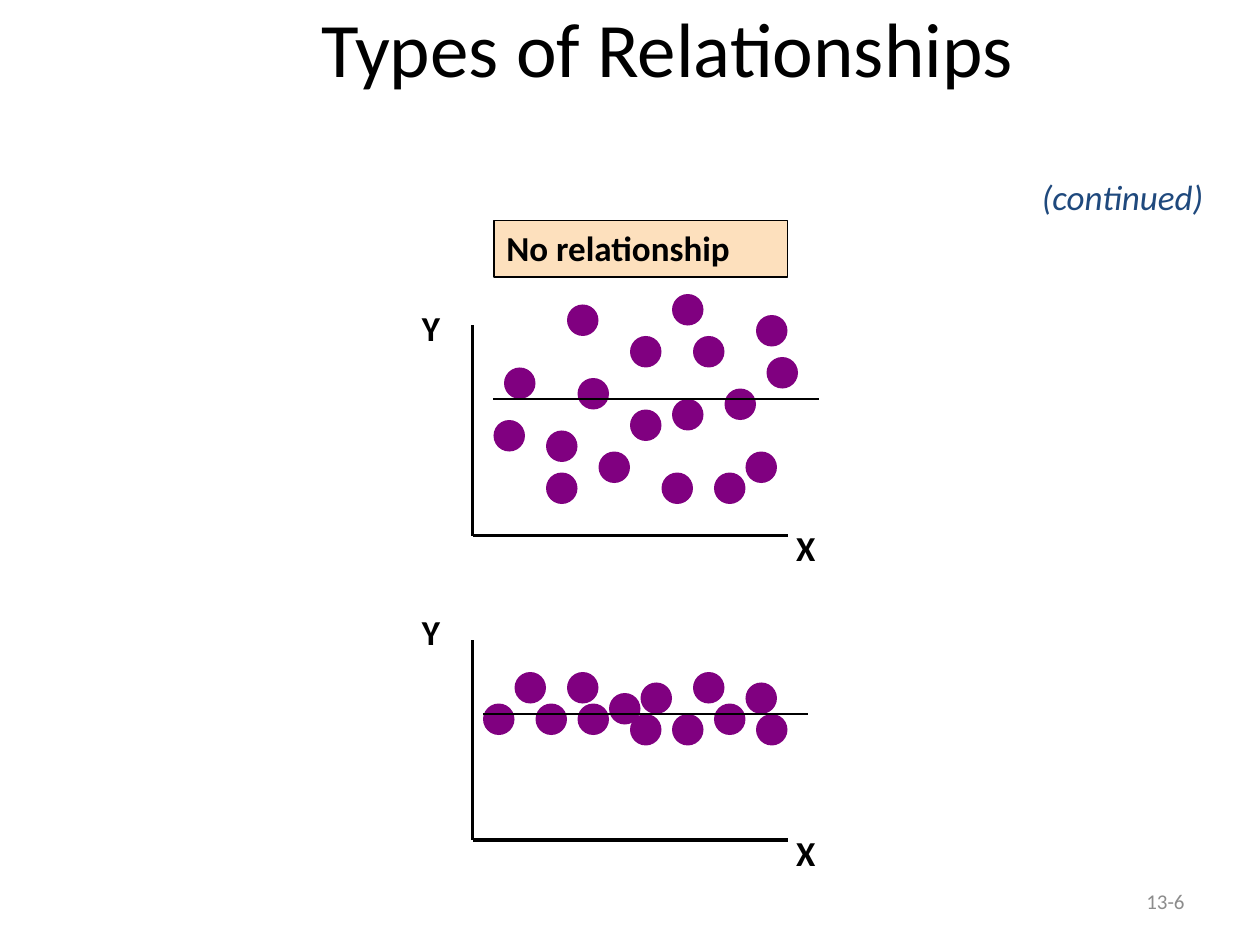
from dataclasses import dataclass

from lxml.etree import SubElement
from pptx import Presentation
from pptx.dml.color import RGBColor
from pptx.enum.shapes import MSO_CONNECTOR, MSO_SHAPE
from pptx.enum.text import MSO_ANCHOR, MSO_AUTO_SIZE, PP_ALIGN
from pptx.oxml.ns import qn
from pptx.slide import Slide
from pptx.text.text import TextFrame
from pptx.util import Inches, Pt

CELL = 1 / 12  # inches; all plot lengths are counted in these cells
ORIGIN_COLUMN = 45
X_AXIS_LENGTH = 30
DOT_SIZE = 3
BLACK, PURPLE, PEACH = "000000", "800080", "FDE0BD"
NAVY, GREY = "1F497D", "8C8C8C"


@dataclass(frozen=True)
class Scatter:
    """Columns count right from the Y axis, heights up from the X axis."""
    base_row: int
    y_axis_length: int
    trend_start: int
    trend_end: int
    trend_height: int
    dots: tuple[tuple[int, int], ...]  # lower left corner of each dot


SCATTERS = (
    Scatter(51, 20, 2, 33, 13, (
        (19, 20), (2, 8), (26, 5), (28, 14), (7, 3), (9, 19),
        (19, 10), (21, 16), (27, 18), (15, 16), (7, 7), (10, 12),
        (23, 3), (15, 9), (12, 5), (3, 13), (18, 3), (24, 11))),
    Scatter(80, 19, 1, 32, 12, (
        (27, 9), (6, 10), (26, 12), (9, 13), (21, 13), (23, 10), (13, 11),
        (1, 10), (4, 13), (10, 10), (19, 9), (16, 12), (15, 9))),
)


def color(value: str) -> RGBColor:
    return RGBColor.from_string(value)


def write(frame: TextFrame, text: str, size: float, ink: str = BLACK,
          bold: bool = False, italic: bool = False,
          align: PP_ALIGN = PP_ALIGN.LEFT) -> None:
    paragraph = frame.paragraphs[0]
    paragraph.alignment = align
    run = paragraph.add_run()
    run.text = text
    font = run.font
    font.name, font.size, font.bold, font.italic = "Calibri", Pt(size), bold, italic
    font.color.rgb = color(ink)


def add_label(slide: Slide, left: float, top: float, width: float, text: str,
              ink: str = BLACK, bold: bool = False, italic: bool = False) -> None:
    frame = slide.shapes.add_textbox(
        Inches(left), Inches(top), Inches(width), Inches(0.43)).text_frame
    frame.word_wrap = False
    frame.auto_size = MSO_AUTO_SIZE.SHAPE_TO_FIT_TEXT
    write(frame, text, 20, ink, bold, italic)


def add_scatter(slide: Slide, scatter: Scatter) -> None:
    def x(column: float) -> float:
        return (ORIGIN_COLUMN + column) * CELL

    def y(height: float) -> float:
        return (scatter.base_row - height) * CELL

    def add_line(start: tuple[int, int], end: tuple[int, int], weight: float) -> None:
        line = slide.shapes.add_connector(
            MSO_CONNECTOR.STRAIGHT, Inches(x(start[0])), Inches(y(start[1])),
            Inches(x(end[0])), Inches(y(end[1])))
        line.line.color.rgb = color(BLACK)
        line.line.width = Pt(weight)
        SubElement(line._element.spPr, qn("a:effectLst"))

    add_line((0, scatter.y_axis_length), (0, 0), 2)
    add_line((0, 0), (X_AXIS_LENGTH, 0), 2)
    add_label(slide, 3.25, y(0) - 1.87, 0.39, "Y", bold=True)
    add_label(slide, 6.22, y(0) - 0.12, 0.39, "X", bold=True)
    for column, height in scatter.dots:
        dot = slide.shapes.add_shape(
            MSO_SHAPE.OVAL, Inches(x(column)), Inches(y(height + DOT_SIZE)),
            Inches(DOT_SIZE * CELL), Inches(DOT_SIZE * CELL))
        dot.shadow.inherit = False
        dot.fill.solid()
        dot.fill.fore_color.rgb = color(PURPLE)
        dot.line.fill.background()
    add_line((scatter.trend_start, scatter.trend_height),
             (scatter.trend_end, scatter.trend_height), 1.5)


def add_heading(slide: Slide) -> None:
    heading = slide.shapes.add_shape(
        MSO_SHAPE.RECTANGLE, Inches(3.92), Inches(1.75), Inches(2.33), Inches(0.45))
    heading.shadow.inherit = False
    heading.fill.solid()
    heading.fill.fore_color.rgb = color(PEACH)
    heading.line.color.rgb = color(BLACK)
    heading.line.width = Pt(1)
    heading.text_frame.word_wrap = True
    heading.text_frame.vertical_anchor = MSO_ANCHOR.TOP
    write(heading.text_frame, "No relationship", 20, bold=True)


def add_page_number(slide: Slide) -> None:
    frame = slide.shapes.add_textbox(
        Inches(7.17), Inches(6.95), Inches(2.33), Inches(0.4)).text_frame
    frame.word_wrap = True
    frame.vertical_anchor = MSO_ANCHOR.MIDDLE
    write(frame, "13-6", 12, GREY, align=PP_ALIGN.RIGHT)


def main() -> None:
    deck = Presentation()
    deck.slide_width, deck.slide_height = Inches(10), Inches(7.5)
    slide = deck.slides.add_slide(deck.slide_layouts[5])

    title = slide.shapes.title
    title.left, title.top = Inches(1.26), Inches(-0.17)
    title.width, title.height = Inches(8.07), Inches(1.08)
    title.text_frame.vertical_anchor = MSO_ANCHOR.MIDDLE
    write(title.text_frame, "Types of Relationships", 44, align=PP_ALIGN.CENTER)

    add_label(slide, 8.17, 1.34, 1.59, "(continued)", NAVY, italic=True)
    add_heading(slide)
    for scatter in SCATTERS:
        add_scatter(slide, scatter)
    add_page_number(slide)
    deck.save("out.pptx")


if __name__ == "__main__":
    main()
